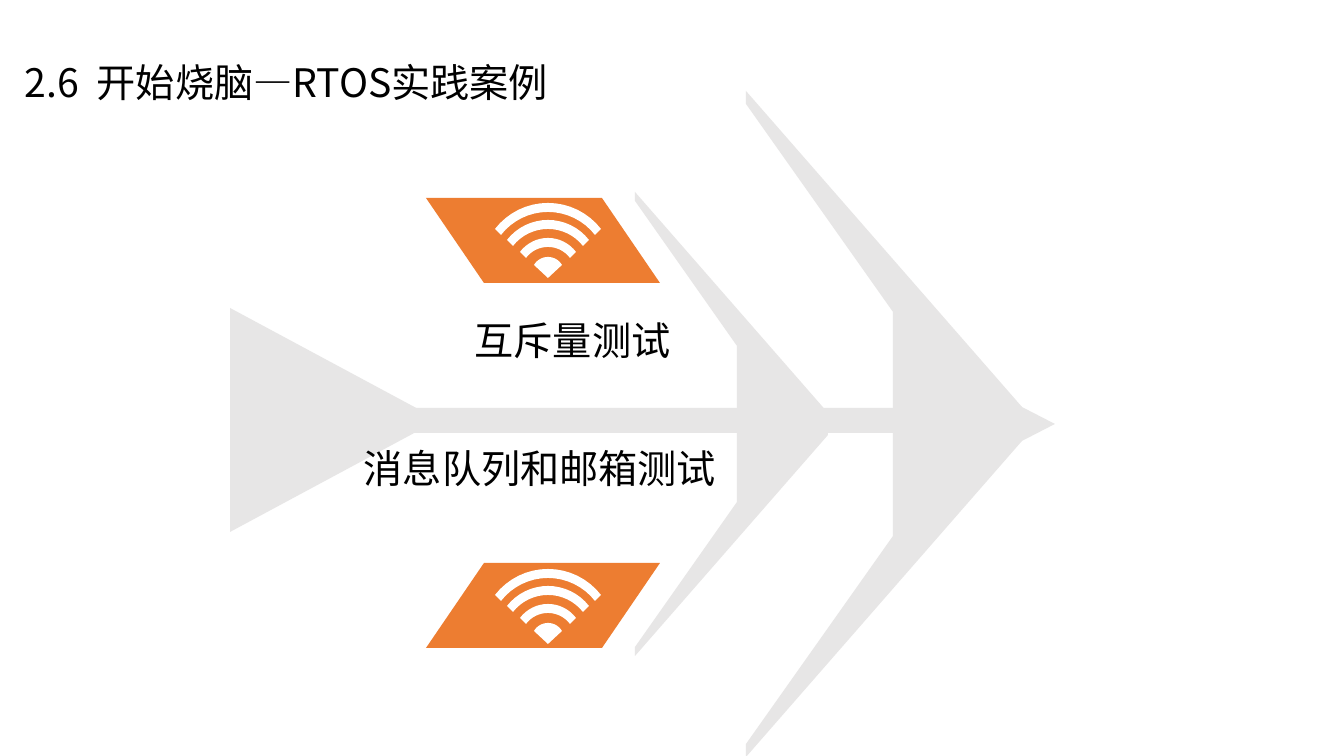
from math import atan2, cos, sin

from lxml.etree import SubElement
from pptx import Presentation
from pptx.dml.color import RGBColor
from pptx.enum.shapes import MSO_SHAPE as Shape
from pptx.enum.text import MSO_ANCHOR as Anchor, PP_ALIGN as Align
from pptx.oxml.ns import qn
from pptx.util import Pt

FONT = "Noto Sans CJK SC"
GREY, ORANGE, WHITE, BLACK = "E7E6E6", "ED7D31", "FFFFFF", "000000"
EMU_PER_PX = 914400 / 100.8

TITLE = ("2.6  开始烧脑—RTOS实践案例", (15, 34, 1026, 101))
LABELS = [
    ("互斥量测试", (404, 311, 337, 93)),
    ("消息队列和邮箱测试", (319, 439, 442, 93)),
]

# Upper halves of the fish's symmetric parts, each with its axis height
FISH_AXIS, TAIL_AXIS, TAG_AXIS = 424, 420, 423
LARGE_FIN = [(746, 104), (746, 91), (1022, 407)]
LARGE_FIN_INNER = [(893, 312)]
SMALL_FIN = [(635, 201), (635, 192), (828, 413)]
SMALL_FIN_INNER = [(737, 346)]
TAIL = [(230, 308), (418, 409)]
NOSE = [(1018, 405), (1055, 424)]
SPINE = (264, 408, 643, 25)
TAG = [(426, 198), (602, 198), (660, 283), (484, 283)]

# Signal icon: (top, half width, rise) of the outer and inner edge of each band
SIGNAL_BANDS = [
    ((0, 53, 26), (9, 47, 23)),
    ((17, 41, 20), (26, 35, 17)),
    ((35, 28, 14), (44, 22, 11)),
]
SIGNAL_DOT = (54, 14, 8)
SIGNAL_TIP = 75
SIGNAL_X, SIGNAL_TOPS = 548, (203, 569)
ARC_STEPS = 16


def emu(px):
    return round(px * EMU_PER_PX)


def rgb(color):
    return RGBColor.from_string(color)


def paint(shape, color):
    shape.shadow.inherit = False
    shape.fill.solid()
    shape.fill.fore_color.rgb = rgb(color)
    shape.line.fill.background()


def mirror(points, axis):
    return [(x, 2 * axis - y) for x, y in points]


def closed_by_mirror(half, axis):
    return half + mirror(half, axis)[::-1]


def add_outline(slide, contours, color):
    """Draw closed contours as one filled freeform."""
    contours = [[(emu(x), emu(y)) for x, y in contour] for contour in contours]
    builder = slide.shapes.build_freeform(*contours[0][0])
    for index, (start, *rest) in enumerate(contours):
        if index:
            builder.move_to(*start)
        builder.add_line_segments(rest, close=True)
    paint(builder.convert_to_shape(), color)


def arc(edge, icon_top):
    """Points, left to right, on the arc with this top, half width and rise."""
    top, half_width, rise = edge
    half_angle = 2 * atan2(rise, half_width)
    radius = half_width / sin(half_angle)
    angles = [half_angle * (2 * step / ARC_STEPS - 1) for step in range(ARC_STEPS + 1)]
    return [
        (SIGNAL_X + radius * sin(angle), icon_top + top + radius * (1 - cos(angle)))
        for angle in angles
    ]


def add_signal(slide, top):
    bands = [arc(outer, top) + arc(inner, top)[::-1] for outer, inner in SIGNAL_BANDS]
    dot = arc(SIGNAL_DOT, top) + [(SIGNAL_X, top + SIGNAL_TIP)]
    add_outline(slide, bands + [dot], WHITE)


def add_text(slide, text, box, align):
    frame = slide.shapes.add_textbox(*map(emu, box)).text_frame
    frame.word_wrap = True
    paragraph = frame.paragraphs[0]
    paragraph.text = text
    paragraph.alignment = align
    font = paragraph.font
    font.size = Pt(28)
    font.color.rgb = rgb(BLACK)
    font.name = FONT
    SubElement(font._element, qn("a:ea"), typeface=FONT)
    return frame


def main():
    presentation = Presentation()
    presentation.slide_width, presentation.slide_height = emu(1344), emu(756)
    slide = presentation.slides.add_slide(presentation.slide_layouts[6])

    title = add_text(slide, *TITLE, Align.LEFT)
    title.vertical_anchor = Anchor.MIDDLE
    title.paragraphs[0].line_spacing = 0.9
    title.paragraphs[0].space_before = Pt(10)

    for fin, inner in ((LARGE_FIN, LARGE_FIN_INNER), (SMALL_FIN, SMALL_FIN_INNER)):
        add_outline(slide, [closed_by_mirror(inner + fin, FISH_AXIS)], GREY)
    for tag in (TAG, mirror(TAG, TAG_AXIS)):
        add_outline(slide, [tag], ORANGE)
    add_outline(slide, [closed_by_mirror(TAIL, TAIL_AXIS)], GREY)
    paint(slide.shapes.add_shape(Shape.RECTANGLE, *map(emu, SPINE)), GREY)
    add_outline(slide, [closed_by_mirror(NOSE, FISH_AXIS)], GREY)

    for text, box in LABELS:
        add_text(slide, text, box, Align.CENTER)
    for top in SIGNAL_TOPS:
        add_signal(slide, top)

    presentation.save("out.pptx")


if __name__ == "__main__":
    main()
